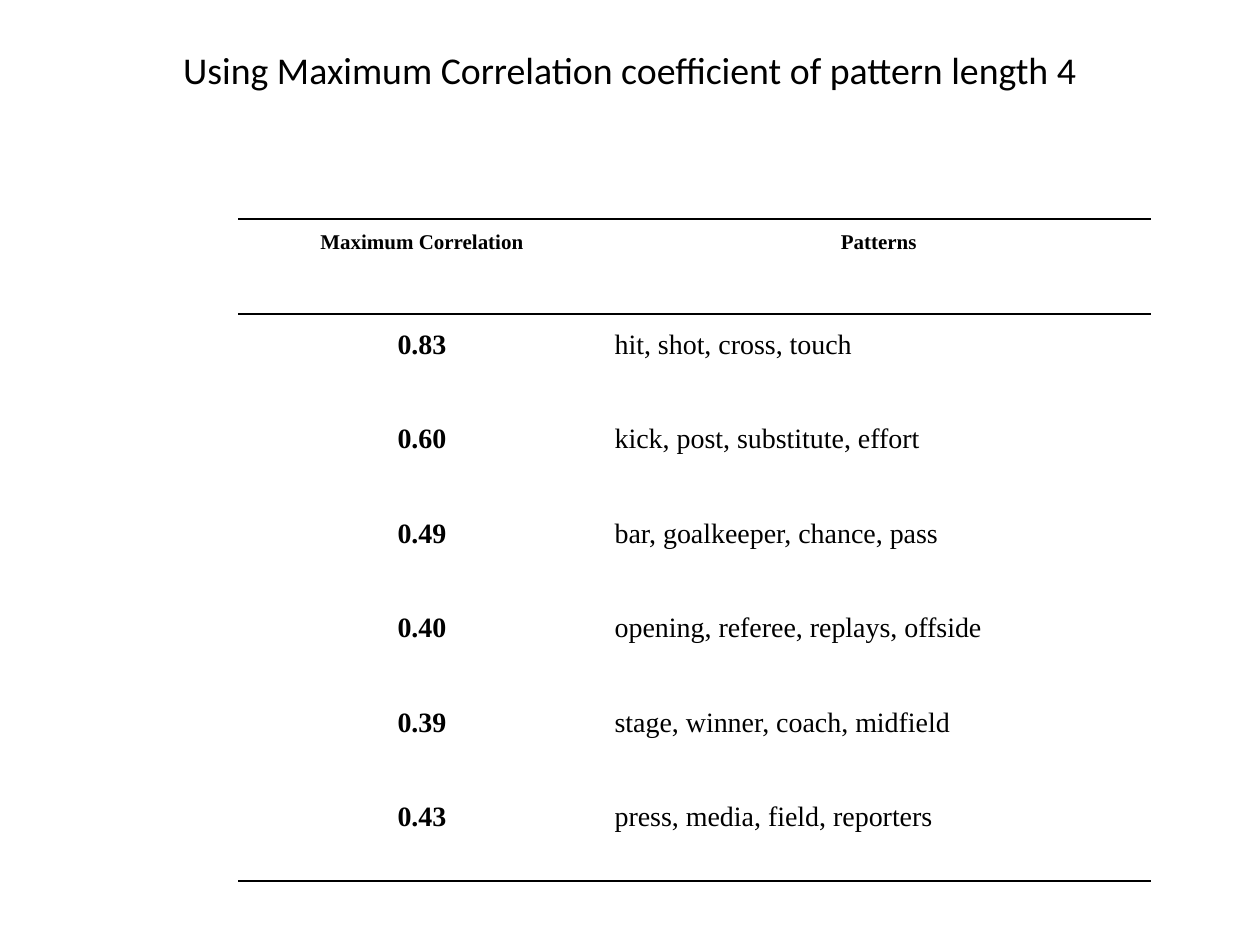
"""Build a slide with a table of maximum correlations for patterns of length 4."""
from lxml import etree
from pptx import Presentation
from pptx.dml.color import RGBColor
from pptx.enum.text import MSO_ANCHOR, PP_ALIGN
from pptx.oxml.ns import qn
from pptx.util import Pt

CENTER, LEFT = PP_ALIGN.CENTER, PP_ALIGN.LEFT
MIDDLE, TOP = MSO_ANCHOR.MIDDLE, MSO_ANCHOR.TOP
COLORS = {"text": "000000", "rule": "000000"}
ROW_HEIGHT = 54
COLUMN_WIDTHS = (210.24, 311.76)
ROWS = [
    ("Maximum Correlation", "Patterns"),
    ("0.83", "hit, shot, cross, touch"),
    ("0.60", "kick, post, substitute, effort"),
    ("0.49", "bar, goalkeeper, chance, pass"),
    ("0.40", "opening, referee, replays, offside"),
    ("0.39", "stage, winner, coach, midfield"),
    ("0.43", "press, media, field, reporters"),
]


def write(paragraph, text, align, **font_format):
    paragraph.alignment = align
    run = paragraph.add_run()
    run.text = text
    for name, value in font_format.items():
        setattr(run.font, name, value)
    run.font.color.rgb = RGBColor.from_string(COLORS["text"])


def add_borders(cell, ruled_sides):
    properties = cell._tc.get_or_add_tcPr()
    for side in "LRTB":
        line = etree.SubElement(properties, qn(f"a:ln{side}"))
        if side in ruled_sides:
            line.set("w", str(Pt(1.5)))
            fill = etree.SubElement(line, qn("a:solidFill"))
            etree.SubElement(fill, qn("a:srgbClr"), val=COLORS["rule"])
        else:
            etree.SubElement(line, qn("a:noFill"))


presentation = Presentation()
presentation.slide_width, presentation.slide_height = Pt(720), Pt(540)
slide = presentation.slides.add_slide(presentation.slide_layouts[6])

heading = slide.shapes.add_textbox(Pt(36), Pt(21.6), Pt(648), Pt(60)).text_frame
heading_format = {"word_wrap": True, "vertical_anchor": MIDDLE, "margin_bottom": Pt(28)}
for name, value in heading_format.items():
    setattr(heading, name, value)
write(heading.paragraphs[0], "Using Maximum Correlation coefficient of pattern length 4",
      CENTER, name="Calibri", size=Pt(21.6))

correlations = slide.shapes.add_table(
    len(ROWS), len(COLUMN_WIDTHS), Pt(136), Pt(125.28),
    Pt(sum(COLUMN_WIDTHS)), Pt(ROW_HEIGHT * len(ROWS))).table
correlations.first_row = correlations.horz_banding = False
for column, width in zip(correlations.columns, COLUMN_WIDTHS):
    column.width = Pt(width)

cell_format = {"margin_left": Pt(5), "margin_right": Pt(5), "margin_top": 0,
               "margin_bottom": 0, "vertical_anchor": TOP}
ruled_rows = {0: "TB", 1: "T", len(ROWS) - 1: "B"}
for row_index, row in enumerate(ROWS):
    correlations.rows[row_index].height = Pt(ROW_HEIGHT)
    is_header = row_index == 0
    for column_index, text in enumerate(row):
        cell = correlations.cell(row_index, column_index)
        for name, value in cell_format.items():
            setattr(cell, name, value)
        add_borders(cell, ruled_rows.get(row_index, ""))
        cell.fill.background()
        emphasized = is_header or column_index == 0
        paragraph = cell.text_frame.paragraphs[0]
        paragraph.line_spacing = 1.5
        write(paragraph, text, CENTER if emphasized else LEFT, name="Times New Roman",
              size=Pt(12 if is_header else 16), bold=emphasized)

presentation.save("out.pptx")
